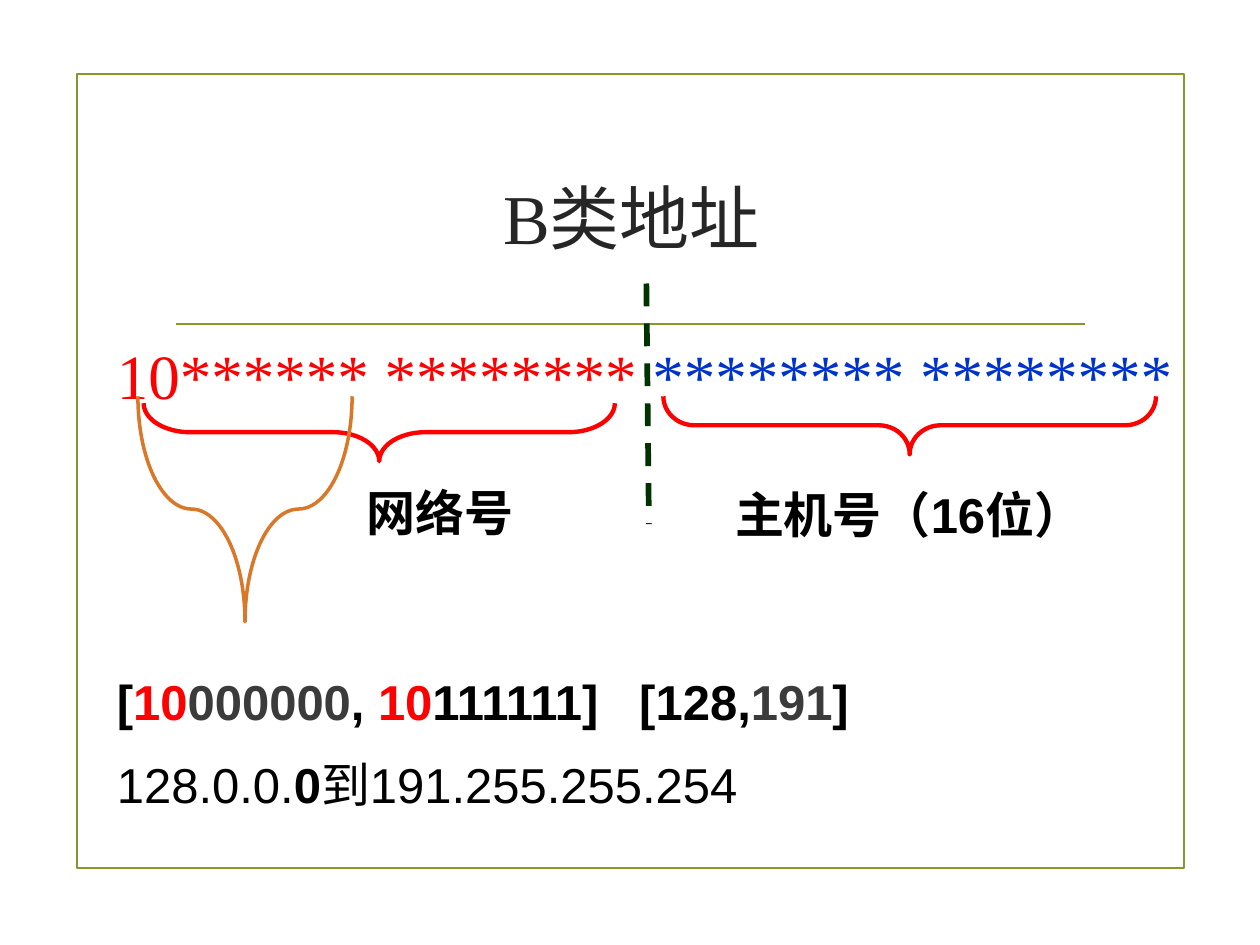
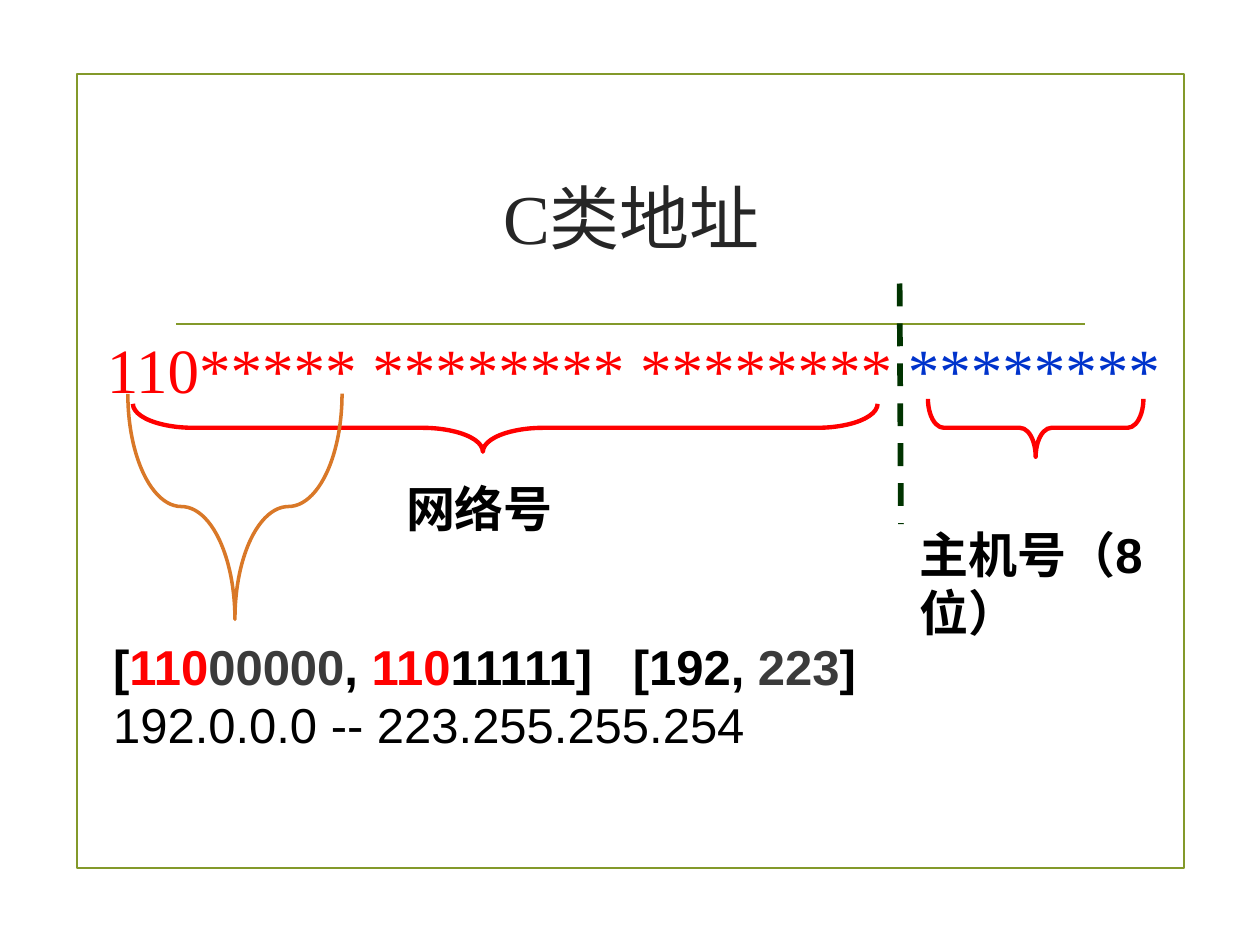
"""Build two slides that explain class B and class C addresses."""
from dataclasses import dataclass
from typing import Optional

from lxml import etree
from pptx import Presentation
from pptx import util as u
from pptx.dml.color import RGBColor
from pptx.enum import dml, shapes, text
from pptx.oxml import ns

OLIVE, ORANGE, GREEN = "83992A", "D97828", "003300"
RED, BLUE, BLACK = "FF0000", "0033CC", "000000"
TITLE_GREY, DIGIT_GREY = "262626", "3B3B3B"
SANS, SERIF = "Arial", "Times New Roman"
CENTER = text.PP_ALIGN.CENTER


@dataclass(frozen=True)
class Box:
    left: float
    top: float
    width: float
    height: float

    def lengths(self) -> tuple:
        """Return the four sides as lengths."""
        return tuple(u.Inches(side) for side in (self.left, self.top, self.width, self.height))


@dataclass(frozen=True)
class Run:
    text: str
    color: str = BLACK
    bold: bool = True


@dataclass(frozen=True)
class Brace:
    box: Box
    curve: float
    middle: float = 0.5
    color: str = RED
    weight: float = 2.5


@dataclass(frozen=True)
class Label:
    box: Box
    paragraphs: list
    font: str = SANS
    size: float = 28
    align: Optional[text.PP_ALIGN] = None
    wrap: bool = True


@dataclass(frozen=True)
class AddressClass:
    title: str
    divider: tuple
    braces: list
    labels: list


def rgb(color: str) -> RGBColor:
    """Turn a hex string into a colour."""
    return RGBColor.from_string(color)


def add_text(slide, box: Box, paragraphs: list, *, font: str = SANS, size: float = 28,
             align: Optional[text.PP_ALIGN] = None, wrap: bool = True, grow: bool = True,
             anchor: text.MSO_ANCHOR = text.MSO_ANCHOR.TOP) -> None:
    """Add a text box whose paragraphs are lists of runs."""
    frame = slide.shapes.add_textbox(*box.lengths()).text_frame
    frame.word_wrap = wrap
    frame.vertical_anchor = anchor
    frame.auto_size = text.MSO_AUTO_SIZE.SHAPE_TO_FIT_TEXT if grow else text.MSO_AUTO_SIZE.NONE
    for index, runs in enumerate(paragraphs):
        paragraph = frame.add_paragraph() if index else frame.paragraphs[0]
        paragraph.alignment = align
        if index:
            paragraph.space_before = u.Pt(size / 2)
        for part in runs:
            if part.text == "\n":
                paragraph.add_line_break()
                continue
            run = paragraph.add_run()
            run.text = part.text
            run.font.name, run.font.size, run.font.bold = font, u.Pt(size), part.bold
            run.font.color.rgb = rgb(part.color)


def add_line(slide, start: tuple, end: tuple, color: str, weight: float,
             dash: Optional[dml.MSO_LINE] = None) -> None:
    """Add a straight line without a shadow."""
    ends = [u.Inches(value) for value in (*start, *end)]
    connector = slide.shapes.add_connector(shapes.MSO_CONNECTOR.STRAIGHT, *ends)
    connector.line.color.rgb = rgb(color)
    connector.line.width = u.Pt(weight)
    if dash is not None:
        connector.line.dash_style = dash
    etree.SubElement(connector._element.spPr, ns.qn("a:effectLst"))


def add_outline(slide, kind: shapes.MSO_SHAPE, box: Box, color: str, weight: float):
    """Add an unfilled preset shape."""
    shape = slide.shapes.add_shape(kind, *box.lengths())
    shape.shadow.inherit = False
    shape.fill.background()
    shape.line.color.rgb = rgb(color)
    shape.line.width = u.Pt(weight)
    return shape


def add_brace(slide, brace: Brace) -> None:
    """Add a brace that points down."""
    shape = add_outline(slide, shapes.MSO_SHAPE.LEFT_BRACE, brace.box, brace.color, brace.weight)
    shape.rotation = 270
    shape.adjustments[0] = brace.curve
    shape.adjustments[1] = brace.middle


def first_byte_brace(left: float, top: float) -> Brace:
    """Describe the brace under the first byte."""
    return Brace(Box(left, top, 1.79, 1.7), 0.8, color=ORANGE, weight=2)


def bits(box: Box, network: str, host: str) -> Label:
    """Describe the row of network and host bits."""
    return Label(box, [[Run(network, RED, False), Run(host, BLUE, False)]], SERIF, 36)


def network_label(left: float, top: float) -> Label:
    """Describe the caption of the network part."""
    return Label(Box(left, top, 1.39, 0.57), [[Run("网络号")]], align=CENTER, wrap=False)


def byte_range(prefix: str, zeros: str, ones: str, low: str, high: str) -> list:
    """Return the runs that give the range of the first byte."""
    return [Run("["), Run(prefix, RED), Run(zeros, DIGIT_GREY), Run(", "), Run(prefix, RED),
            Run(f"{ones}]\u00a0\u00a0 [{low}"), Run(high, DIGIT_GREY), Run("]")]


def add_address_slide(presentation, address: AddressClass) -> None:
    """Add one slide with the shared frame, rule and title style."""
    slide = presentation.slides.add_slide(presentation.slide_layouts[6])
    add_outline(slide, shapes.MSO_SHAPE.RECTANGLE, Box(0.61, 0.59, 8.79, 6.3), OLIVE, 1.25)
    add_line(slide, (1.4, 2.57), (8.61, 2.57), OLIVE, 1.25)
    add_line(slide, *address.divider, GREEN, 3.25, dml.MSO_LINE.DASH)
    add_text(slide, Box(1.29, 1, 7.44, 1.43), [[Run(address.title, TITLE_GREY, False)]],
             font=SERIF, size=40, align=CENTER, grow=False, anchor=text.MSO_ANCHOR.MIDDLE)
    for label in address.labels:
        add_text(slide, label.box, label.paragraphs, font=label.font, size=label.size,
                 align=label.align, wrap=label.wrap)
    for brace in address.braces:
        add_brace(slide, brace)


ADDRESS_CLASSES = [
    AddressClass(
        "B类地址",
        ((5.13, 2.25), (5.15, 4.16)),
        [Brace(Box(6.99, 1.42, 0.46, 3.91), 0.535),
         Brace(Box(2.78, 1.56, 0.46, 3.74), 0.8),
         first_byte_brace(1.05, 3.19)],
        [bits(Box(0.83, 2.62, 8.74, 0.71), "10****** ********", " ******** ********"),
         network_label(2.8, 3.78),
         Label(Box(5.71, 3.8, 3.01, 0.57), [[Run("主机号（16位）")]], align=CENTER),
         Label(Box(0.83, 5.28, 6.44, 1.28),
               [byte_range("10", "000000", "111111", "128,", "191"),
                [Run("128.0.0.", bold=False), Run("0"),
                 Run("到191.255.255.254", bold=False)]])]),
    AddressClass(
        "C类地址",
        ((7.14, 2.25), (7.15, 4.16)),
        [Brace(Box(7.99, 2.54, 0.46, 1.71), 0.273),
         Brace(Box(3.82, 0.44, 0.38, 5.91), 1.266, 0.47),
         first_byte_brace(0.97, 3.17)],
        [bits(Box(0.75, 2.57, 8.61, 0.71), "110***** ******** ********", " ********"),
         network_label(3.11, 3.75),
         Label(Box(7.2, 4.11, 2.59, 1.04), [[Run("主机号（8位）")]]),
         Label(Box(0.8, 5, 6.44, 1.04),
               [byte_range("110", "00000", "11111", "192, ", "223")
                + [Run("\n"), Run("192.0.0.0 -- 223.255.255.254", bold=False)]])]),
]


def main() -> None:
    """Build and save the presentation."""
    presentation = Presentation()
    presentation.slide_width, presentation.slide_height = u.Inches(10), u.Inches(7.5)
    for address in ADDRESS_CLASSES:
        add_address_slide(presentation, address)
    presentation.save("out.pptx")


if __name__ == "__main__":
    main()
